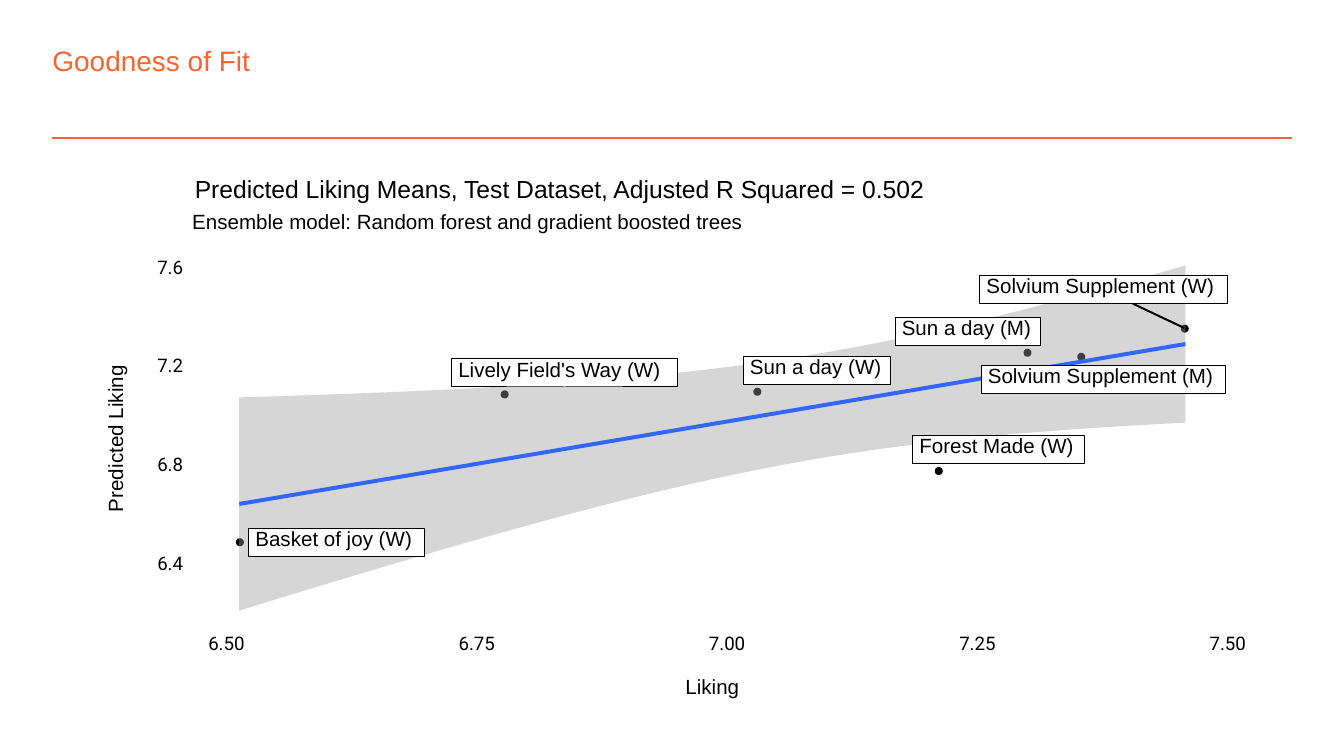
from dataclasses import dataclass
from math import hypot

from lxml.etree import SubElement
from pptx import Presentation
from pptx.dml.color import RGBColor
from pptx.enum.shapes import MSO_CONNECTOR as Connector, MSO_SHAPE as Shape
from pptx.enum.text import MSO_ANCHOR as Anchor, PP_ALIGN as Align
from pptx.oxml.ns import qn
from pptx.util import Inches, Pt


@dataclass(frozen=True)
class Theme:
    """Colours, fonts and type sizes of the deck."""
    accent: str = "F36633"
    ink: str = "000000"
    paper: str = "FFFFFF"
    band: str = "999999"
    trend: str = "3366FF"
    body_font: str = "Arial"
    tick_font: str = "Roboto"
    title_size: float = 15
    heading_size: float = 13.2
    label_size: float = 11
    tick_size: float = 10


@dataclass(frozen=True)
class Box:
    """A rectangle in inches."""
    left: float
    top: float
    width: float
    height: float

    def inner(self, left, top, width, height):
        """Return a box placed relative to this one."""
        return Box(self.left + left, self.top + top, width, height)

    def point(self, left, top):
        """Return a point placed relative to this box, as lengths."""
        return Inches(self.left + left), Inches(self.top + top)

    def lengths(self):
        """Return the four sides as lengths."""
        return [Inches(side) for side in (self.left, self.top, self.width, self.height)]


THEME = Theme()
DOT_SIZE = 0.05
LABEL_HEIGHT = 0.21
PRODUCTS = [
    ("Lively Field's Way (W)", (2.98, 1.61), (2.61, 1.37, 1.68)),
    ("Solvium Supplement (M)", (7.27, 1.33), (6.55, 1.42, 1.82)),
    ("Solvium Supplement (W)", (8.04, 1.12), (6.54, 0.75, 1.84)),
    ("Basket of joy (W)", (1.01, 2.71), (1.10, 2.63, 1.31)),
    ("Forest Made (W)", (6.21, 2.18), (6.04, 1.94, 1.28)),
    ("Sun a day (M)", (6.87, 1.30), (5.91, 1.06, 1.08)),
    ("Sun a day (W)", (4.86, 1.59), (4.78, 1.35, 1.10)),
]


def color(code):
    """Turn a hex code into a colour."""
    return RGBColor.from_string(code)


def write(shape, text, size, font=THEME.body_font, ink=THEME.ink, insets=(0, 0, 0, 0), exact=True):
    """Write one unwrapped line, centred vertically between the insets."""
    frame = shape.text_frame
    frame.word_wrap = False
    frame.vertical_anchor = Anchor.MIDDLE
    frame.margin_left, frame.margin_top, frame.margin_right, frame.margin_bottom = [
        Inches(inset) for inset in insets]
    para = frame.paragraphs[0]
    para.alignment = Align.LEFT
    if exact:
        para.line_spacing = Pt(size)
    span = para.add_run()
    span.text = text
    span.font.size, span.font.name = Pt(size), font
    span.font.color.rgb = color(ink)


def add_text(shapes, box, text, size, **style):
    """Add a text box with one line and return it."""
    shape = shapes.add_textbox(*box.lengths())
    write(shape, text, size, **style)
    return shape


def add_filled(shapes, kind, box, fill, line, weight):
    """Add a filled, outlined preset shape."""
    shape = shapes.add_shape(kind, *box.lengths())
    shape.shadow.inherit = False
    shape.fill.solid()
    shape.fill.fore_color.rgb = color(fill)
    shape.line.color.rgb = color(line)
    shape.line.width = Pt(weight)
    return shape


def add_line(shapes, start, end, ink, weight):
    """Add a straight line without shadow."""
    line = shapes.add_connector(Connector.STRAIGHT, *start, *end)
    line.line.color.rgb = color(ink)
    line.line.width = Pt(weight)
    SubElement(line._element.spPr, qn("a:effectLst"))


def add_header(page, box):
    """Place the title and the rule below it."""
    add_text(page.shapes, box.inner(0, 0, 8.29, 0.25), "Goodness of Fit",
             THEME.title_size, ink=THEME.accent, exact=False)
    add_line(page.shapes, box.point(0, box.height), box.point(box.width, box.height), THEME.accent, 1)


def add_fit(shapes, box):
    """Draw the confidence band and the regression line."""
    start, end, steps = (1.03, 2.45), (8.07, 1.26), 40
    mean = sum(dot[0] + DOT_SIZE / 2 for _, dot, _ in PRODUCTS) / len(PRODUCTS)
    upper, lower = [], []
    for step in range(steps + 1):
        x, y = [a + (b - a) * step / steps for a, b in zip(start, end)]
        spread = hypot(0.39, 0.16 * (x - mean))
        upper.append(box.point(x, y - spread))
        lower.append(box.point(x, y + spread))
    outline = shapes.build_freeform(*upper[0])
    outline.add_line_segments(upper[1:] + lower[::-1], close=True)
    band = outline.convert_to_shape()
    band.shadow.inherit = False
    band.fill.solid()
    band.fill.fore_color.rgb = color(THEME.band)
    SubElement(band._element.spPr.find(qn("a:solidFill"))[0], qn("a:alpha"), val="40000")
    band.line.fill.background()
    add_line(shapes, box.point(*start), box.point(*end), THEME.trend, 2.13)


def add_axes(shapes, box):
    """Place tick labels, axis titles and plot headings."""
    for index, tick in enumerate(("7.6", "7.2", "6.8", "6.4")):
        add_text(shapes, box.inner(0.42, 0.65 + index * 2.2 / 3, 0.21, 0.1), tick,
                 THEME.tick_size, font=THEME.tick_font)
    for index, tick in enumerate(("6.50", "6.75", "7.00", "7.25", "7.50")):
        add_text(shapes, box.inner(0.8 + index * 7.45 / 4, 3.45, 0.28, 0.1), tick,
                 THEME.tick_size, font=THEME.tick_font)
    add_text(shapes, box.inner(4.35, 3.75, 0.42, 0.14), "Liking", THEME.label_size)
    side = add_text(shapes, box.inner(-0.44, 1.88, 1.12, 0.14), "Predicted Liking", THEME.label_size)
    side.rotation = 270
    add_text(shapes, box.inner(0.68, 0.29, 4.12, 0.14),
             "Ensemble model: Random forest and gradient boosted trees", THEME.label_size)
    add_text(shapes, box.inner(0.7, 0.04, 5.46, 0.17),
             "Predicted Liking Means, Test Dataset, Adjusted R Squared = 0.502", THEME.heading_size)


def add_plot(page, box):
    """Draw the scatter plot with its fit, product labels and axes."""
    shapes = page.shapes.add_group_shape().shapes
    add_filled(shapes, Shape.RECTANGLE, box, THEME.paper, THEME.paper, 1.07)
    for _, dot, _ in PRODUCTS:
        add_filled(shapes, Shape.OVAL, box.inner(*dot, DOT_SIZE, DOT_SIZE), THEME.ink, THEME.ink, 0.71)
    add_fit(shapes, box)
    add_line(shapes, box.point(7.68, 0.96), box.point(8.06, 1.14), THEME.ink, 1.07)
    for name, _, place in PRODUCTS:
        label = add_filled(shapes, Shape.RECTANGLE, box.inner(*place, LABEL_HEIGHT),
                           THEME.paper, THEME.ink, 0.53)
        write(label, name, THEME.label_size, insets=(0.05, 0.02, 0.05, 0.05))
    add_axes(shapes, box)


def main():
    """Build the deck and save it."""
    deck = Presentation()
    deck.slide_width = Inches(10)
    deck.slide_height = deck.slide_width * 9 // 16
    page = deck.slides.add_slide(deck.slide_layouts[6])
    add_header(page, Box(0.39, 0.32, 9.22, 0.71))
    add_plot(page, Box(0.75, 1.3, 8.5, 4))
    deck.save("out.pptx")


if __name__ == "__main__":
    main()
